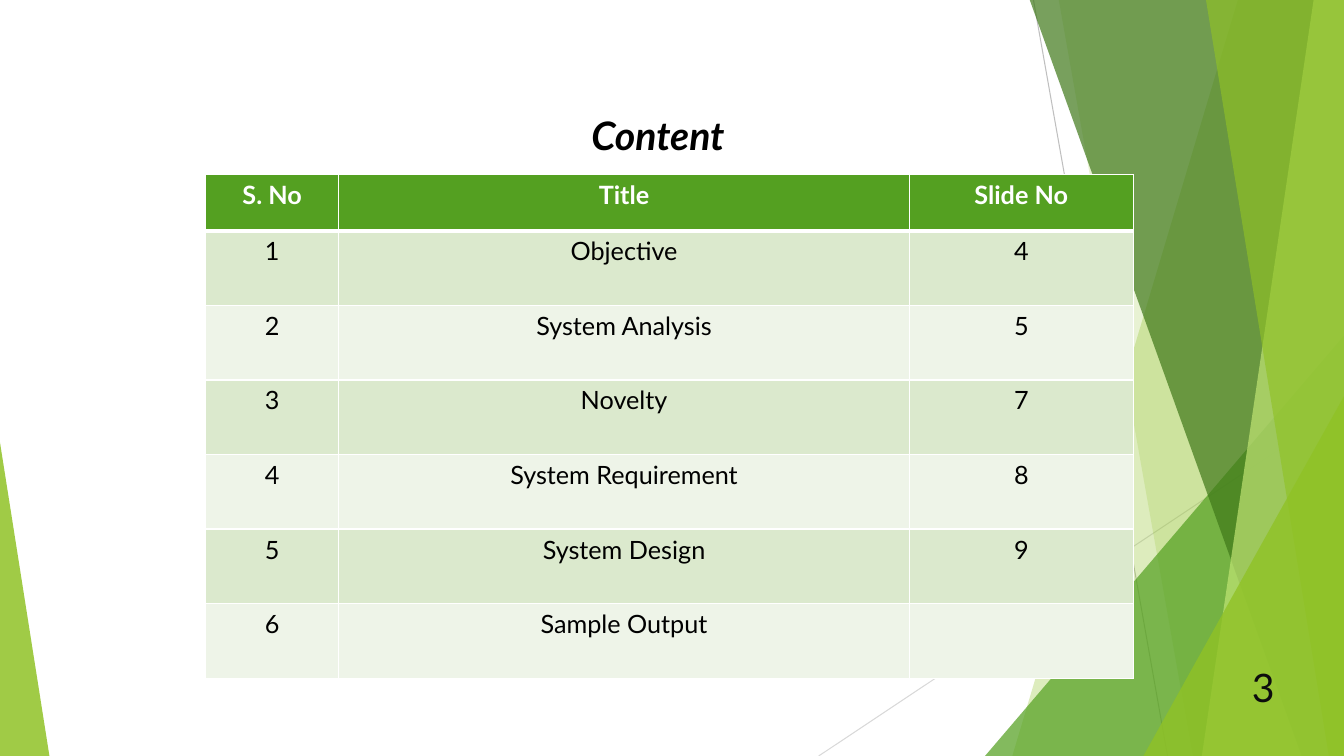
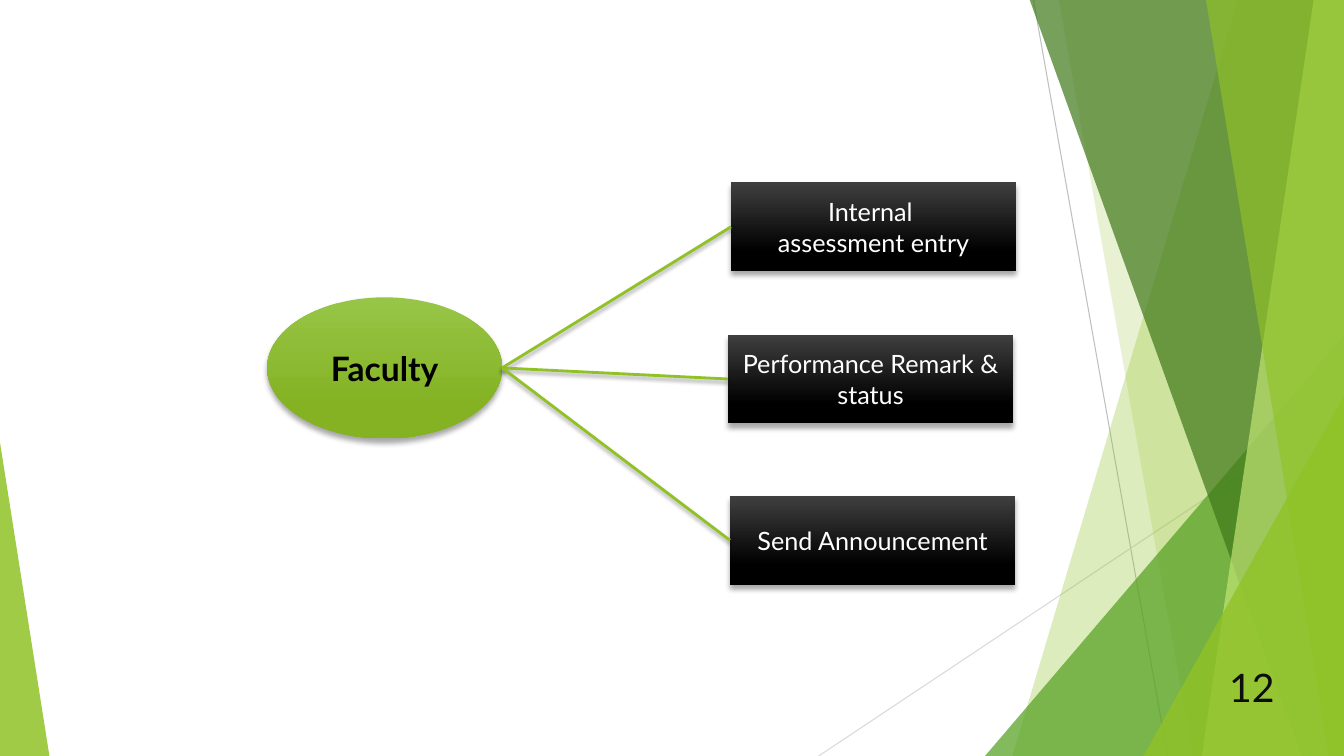
from dataclasses import dataclass
from typing import Any

import lxml.etree
import pptx
import pptx.dml.color
import pptx.enum.shapes
import pptx.enum.text
import pptx.oxml.ns
import pptx.slide
import pptx.util

Inches = pptx.util.Inches
Pt = pptx.util.Pt
Align = pptx.enum.text.PP_ALIGN
Anchor = pptx.enum.text.MSO_ANCHOR
Preset = pptx.enum.shapes.MSO_SHAPE

WIDTH, HEIGHT = 13.33, 7.5
BAND_TOP = -0.01
FONT = "Lato"
COLORS = {
    "lime": "90C226", "green": "54A021", "forest": "3F7819", "pale lime": "C0E474",
    "gray": "BFBFBF", "light gray": "D9D9D9",
    "row dark": "DBE9CD", "row light": "EEF4E8",
    "oval top": "97C547", "oval bottom": "84B223", "charcoal": "3F3F3F",
    "black": "000000", "white": "FFFFFF", "number": "0D0D0D",
}


@dataclass(frozen=True)
class Box:
    left: float
    top: float
    width: float
    height: float

    def lengths(self) -> list[int]:
        return [Inches(v) for v in (self.left, self.top, self.width, self.height)]


@dataclass(frozen=True)
class Band:
    """A facet from a slanted left edge to the right side of the slide."""
    top_x: float
    bottom_x: float
    color: str
    opacity: int


@dataclass(frozen=True)
class Wedge:
    box: Box
    apex: float
    color: str
    opacity: int


@dataclass(frozen=True)
class TextStyle:
    size: float
    color: str
    bold: bool = False
    italic: bool = False
    align: Any = Align.CENTER


@dataclass(frozen=True)
class Task:
    left: float
    top: float
    lines: tuple[str, ...]


FACETS = (
    Band(12.28, 10.04, "lime", 30),
    Band(10.5, 11.83, "lime", 20),
    Wedge(Box(9.77, 3.33, 3.56, 4.17), 1, "green", 72),
    Band(10.21, 12.91, "forest", 70),
    Band(13.03, 11.92, "pale lime", 70),
    Band(11.96, 13.18, "lime", 65),
    Wedge(Box(11.34, 3.93, 1.99, 3.57), 1, "lime", 80),
    Wedge(Box(0, 4.39, 0.49, 3.11), 0, "lime", 85),
)
TITLE = TextStyle(28, "black", bold=True, italic=True)
NUMBER = TextStyle(28, "number", align=Align.RIGHT)
HEADER = TextStyle(18, "white", bold=True)
CELL = TextStyle(18, "black")
ACTOR = TextStyle(24, "black", bold=True)
TASK = TextStyle(18, "white")

CONTENT = (
    ("S. No", "Title", "Slide No"),
    ("1", "Objective", "4"),
    ("2", "System Analysis", "5"),
    ("3", "Novelty", "7"),
    ("4", "System Requirement", "8"),
    ("5", "System Design", "9"),
    ("6", "Sample Output", ""),
)
COLUMN_WIDTHS = (1.32, 5.66, 2.22)
HEADER_HEIGHT, ROW_HEIGHT = 0.56, 0.74
TASKS = (
    Task(7.25, 1.81, ("Internal ", "assessment entry")),
    Task(7.22, 3.32, ("Performance Remark & status",)),
    Task(7.24, 4.92, ("Send Announcement",)),
)


def rgb(name: str) -> pptx.dml.color.RGBColor:
    return pptx.dml.color.RGBColor.from_string(COLORS[name])


def add_child(parent: Any, tag: str, **attributes: Any) -> Any:
    values = {key: str(value) for key, value in attributes.items()}
    return lxml.etree.SubElement(parent, pptx.oxml.ns.qn(tag), values)


def write_text(frame: Any, lines: tuple[str, ...], style: TextStyle) -> None:
    for index, line in enumerate(lines):
        para = frame.add_paragraph() if index else frame.paragraphs[0]
        para.alignment = style.align
        span = para.add_run()
        span.text = line
        span.font.name = FONT
        span.font.size = Pt(style.size)
        span.font.bold = style.bold
        span.font.italic = style.italic
        span.font.color.rgb = rgb(style.color)


def add_text_box(page: pptx.slide.Slide, box: Box, text: str, style: TextStyle,
                 anchor: Any = Anchor.TOP) -> None:
    frame = page.shapes.add_textbox(*box.lengths()).text_frame
    frame.word_wrap = True
    frame.vertical_anchor = anchor
    write_text(frame, (text,), style)


def add_effects(shape: Any, blur: float = 0, distance: float = 0) -> None:
    """Replace the theme shadow by a downward one, or by none."""
    effects = add_child(shape.element.spPr, "a:effectLst")
    if blur:
        shadow = add_child(effects, "a:outerShdw", blurRad=Pt(blur), dist=Pt(distance),
                           dir=90 * 60000, algn="ctr", rotWithShape=0)
        color = add_child(shadow, "a:srgbClr", val=COLORS["black"])
        add_child(color, "a:alpha", val=35000)


def add_line(page: pptx.slide.Slide, start: tuple[float, float], end: tuple[float, float],
             color: str, width: float, blur: float = 0, distance: float = 0) -> Any:
    line = page.shapes.add_connector(
        pptx.enum.shapes.MSO_CONNECTOR.STRAIGHT, *map(Inches, start + end))
    line.line.color.rgb = rgb(color)
    line.line.width = Pt(width)
    add_effects(line, blur, distance)
    return line


def add_facet(page: pptx.slide.Slide, facet: Band | Wedge) -> None:
    if isinstance(facet, Band):
        corners = ((WIDTH, BAND_TOP), (WIDTH, HEIGHT), (facet.bottom_x, HEIGHT))
        builder = page.shapes.build_freeform(Inches(facet.top_x), Inches(BAND_TOP))
        builder.add_line_segments([(Inches(x), Inches(y)) for x, y in corners], close=True)
        shape = builder.convert_to_shape()
    else:
        shape = page.shapes.add_shape(Preset.ISOSCELES_TRIANGLE, *facet.box.lengths())
        shape.adjustments[0] = facet.apex
    shape.fill.solid()
    shape.fill.fore_color.rgb = rgb(facet.color)
    color = shape.element.spPr.find(pptx.oxml.ns.qn("a:solidFill"))[0]
    add_child(color, "a:alpha", val=facet.opacity * 1000)
    shape.line.fill.background()
    shape.shadow.inherit = False


def add_page(deck: Any, number: int) -> pptx.slide.Slide:
    """Add a blank slide with the shared facets and its number."""
    page = deck.slides.add_slide(deck.slide_layouts[6])
    add_line(page, (10.25, 0), (11.58, HEIGHT), "gray", 0.75)
    add_line(page, (WIDTH, 4.03), (8.12, HEIGHT), "light gray", 0.75)
    for facet in FACETS:
        add_facet(page, facet)
    add_text_box(page, Box(9.39, 6.61, 3.35, 0.4), str(number), NUMBER, Anchor.MIDDLE)
    return page


def set_borders(cell: Any, top: float, bottom: float) -> None:
    properties = cell._tc.get_or_add_tcPr()
    widths = {"a:lnL": 1, "a:lnR": 1, "a:lnT": top, "a:lnB": bottom}
    for index, (tag, width) in enumerate(widths.items()):
        border = add_child(properties, tag, w=Pt(width))
        add_child(add_child(border, "a:solidFill"), "a:srgbClr", val=COLORS["white"])
        properties.insert(index, border)


def add_content_table(page: pptx.slide.Slide) -> None:
    box = Box(2.04, 1.73, sum(COLUMN_WIDTHS), HEADER_HEIGHT + 6 * ROW_HEIGHT)
    table = page.shapes.add_table(len(CONTENT), len(COLUMN_WIDTHS), *box.lengths()).table
    table.horz_banding = False
    for column, width in zip(table.columns, COLUMN_WIDTHS):
        column.width = Inches(width)
    for row, texts in enumerate(CONTENT):
        table.rows[row].height = Inches(ROW_HEIGHT if row else HEADER_HEIGHT)
        fill = ("row dark" if row % 2 else "row light") if row else "green"
        for column, text in enumerate(texts):
            cell = table.cell(row, column)
            cell.fill.solid()
            cell.fill.fore_color.rgb = rgb(fill)
            set_borders(cell, top=3 if row == 1 else 1, bottom=1 if row else 3)
            if text:
                write_text(cell.text_frame, (text,), CELL if row else HEADER)


def add_node(page: pptx.slide.Slide, preset: Any, box: Box, gradient: tuple[str, str],
             lines: tuple[str, ...], style: TextStyle) -> Any:
    node = page.shapes.add_shape(preset, *box.lengths())
    node.fill.gradient()
    node.fill.gradient_angle = 270
    for stop, color, position in zip(node.fill.gradient_stops, gradient, (0, 0.78)):
        stop.color.rgb = rgb(color)
        stop.position = position
    node.line.fill.background()
    add_effects(node, blur=4, distance=3)
    node.text_frame.word_wrap = True
    node.text_frame.vertical_anchor = Anchor.MIDDLE
    write_text(node.text_frame, lines, style)
    return node


def add_faculty_diagram(page: pptx.slide.Slide) -> None:
    oval = Box(2.65, 2.95, 2.33, 1.4)
    hub = (oval.left + oval.width, oval.top + oval.height / 2)
    add_node(page, Preset.OVAL, oval, ("oval top", "oval bottom"), ("Faculty",), ACTOR)
    for task in TASKS:
        box = Box(task.left, task.top, 2.83, 0.88)
        node = add_node(page, Preset.RECTANGLE, box, ("charcoal", "black"), task.lines, TASK)
        line = add_line(page, hub, (box.left, box.top + box.height / 2), "lime", 2,
                        blur=3, distance=2)
        line.end_connect(node, 1)


def main() -> None:
    deck = pptx.Presentation()
    deck.slide_width, deck.slide_height = Inches(WIDTH), Inches(HEIGHT)

    content_page = add_page(deck, 3)
    add_content_table(content_page)
    add_text_box(content_page, Box(1.88, 1.06, 9.29, 0.57), "Content", TITLE)

    add_faculty_diagram(add_page(deck, 12))
    deck.save("out.pptx")


if __name__ == "__main__":
    main()
